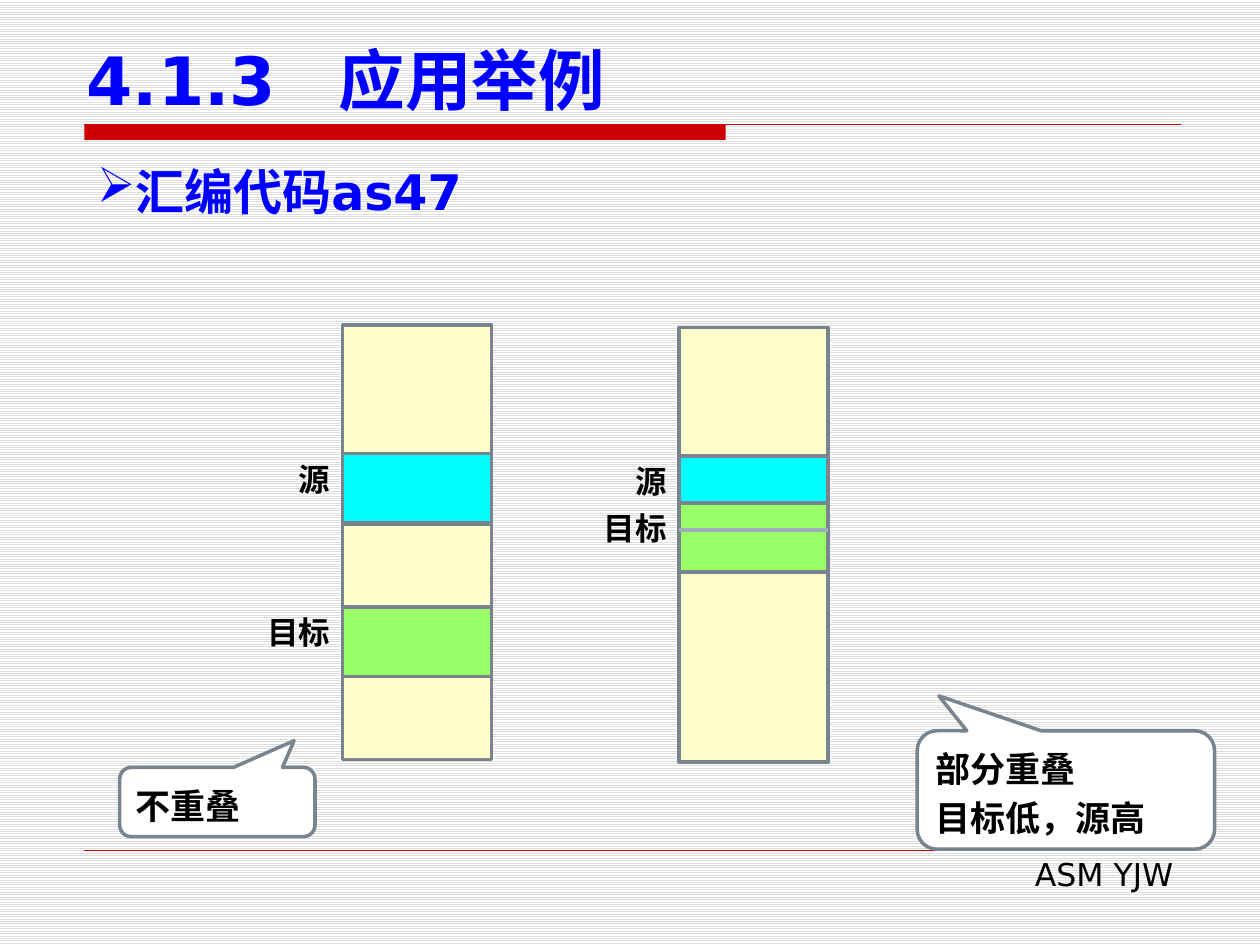
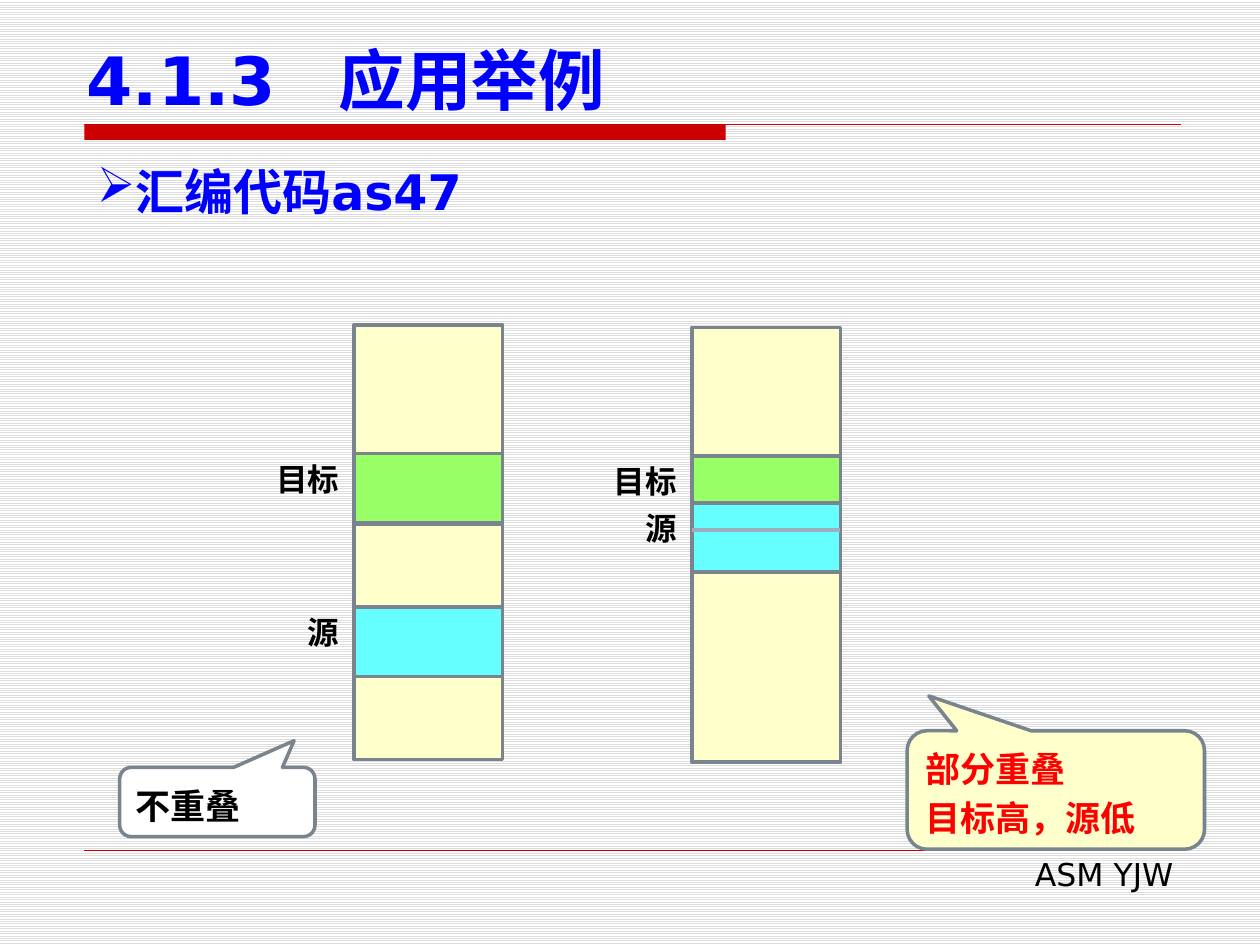
from lxml import etree
from pptx import Presentation
from pptx.dml.color import RGBColor
from pptx.enum.dml import MSO_PATTERN
from pptx.enum.shapes import MSO_CONNECTOR, MSO_SHAPE as SHAPE
from pptx.enum.text import MSO_ANCHOR as ANCHOR, PP_ALIGN as ALIGN
from pptx.oxml.ns import qn
from pptx.util import Inches, Pt

BLACK = RGBColor(0x00, 0x00, 0x00)
WHITE = RGBColor(0xFF, 0xFF, 0xFF)
STRIPE = RGBColor(0xDD, 0xDD, 0xDD)
BLUE = RGBColor(0x00, 0x00, 0xFF)
RED = RGBColor(0xFF, 0x00, 0x00)
DARK_RED = RGBColor(0xCC, 0x00, 0x00)
GREY = RGBColor(0x79, 0x84, 0x8F)
LIGHT_GREY = RGBColor(0x9F, 0xAE, 0xBD)
CREAM = RGBColor(0xFF, 0xFF, 0xCC)
GREEN = RGBColor(0x99, 0xFF, 0x66)
CYAN = RGBColor(0x00, 0xFF, 0xFF)
PALE_CYAN = RGBColor(0x66, 0xFF, 0xFF)

LATIN, CJK = "DejaVu Sans", "Noto Sans CJK SC"
BLOCK_W = 1.18


def write(sp, text, size=18, font=LATIN, color=BLACK, bold=True, align=ALIGN.LEFT,
          anchor=ANCHOR.TOP, spacing=None, bullet=None, tab=None):
    tf = sp.text_frame
    tf.word_wrap = True
    tf.vertical_anchor = anchor
    for i, line in enumerate(text.split("\n")):
        p = tf.add_paragraph() if i else tf.paragraphs[0]
        p.alignment = align
        if spacing:
            p.line_spacing = Pt(spacing)
        pPr = p._p.get_or_add_pPr()
        if bullet:
            etree.SubElement(pPr, qn("a:buChar"), char=bullet)
        if tab:
            tabs = etree.SubElement(pPr, qn("a:tabLst"))
            etree.SubElement(tabs, qn("a:tab"), pos=str(Inches(tab)), algn="l")
        r = p.add_run()
        r.text = line
        r.font.size, r.font.bold, r.font.name = Pt(size), bold, font
        r.font.color.rgb = color
        etree.SubElement(r._r.get_or_add_rPr(), qn("a:ea"), typeface=CJK)


def add_text(slide, box, text, **fmt):
    write(slide.shapes.add_textbox(*map(Inches, box)), text, **fmt)


def add_box(slide, kind, box, fill, line=GREY):
    sp = slide.shapes.add_shape(kind, *map(Inches, box))
    sp.shadow.inherit = False
    sp.fill.solid()
    sp.fill.fore_color.rgb = fill
    if line is None:
        sp.line.fill.background()
    else:
        sp.line.color.rgb = line
        sp.line.width = Pt(2)
    return sp


def add_rule(slide, x1, x2, y, color, width):
    """Draw a horizontal line."""
    cxn = slide.shapes.add_connector(MSO_CONNECTOR.STRAIGHT, *map(Inches, (x1, y, x2, y)))
    cxn.line.color.rgb = color
    cxn.line.width = Pt(width)
    etree.SubElement(cxn._element.spPr, qn("a:effectLst"))


def add_frame(prs):
    """Add a slide with the shared background, title, bands and footer."""
    slide = prs.slides.add_slide(prs.slide_layouts[6])
    fill = slide.background.fill
    fill.patterned()
    fill.pattern = MSO_PATTERN.LIGHT_HORIZONTAL
    fill.fore_color.rgb, fill.back_color.rgb = STRIPE, WHITE
    add_box(slide, SHAPE.RECTANGLE, (0.67, 0.99, 5.09, 0.12), DARK_RED, line=None)
    add_rule(slide, 0.67, 9.37, 0.99, DARK_RED, 0.75)
    add_rule(slide, 0.67, 9.33, 6.75, DARK_RED, 0.25)
    add_text(slide, (3.82, 6.74, 5.59, 0.4), "ASM YJW", bold=False, align=ALIGN.RIGHT)
    add_text(slide, (0.59, 0.28, 9.06, 0.71), "4.1.3\t应用举例", size=38, color=BLUE,
             anchor=ANCHOR.BOTTOM, tab=2.0)
    add_text(slide, (0.67, 1.23, 8.66, 0.57), "汇编代码as47", size=28, color=BLUE,
             align=ALIGN.JUSTIFY, bullet="➢")
    return slide


def add_memory(slide, x, y, blocks, gap):
    """Draw (offset, height, fill, label) blocks, each label left of its block."""
    for offset, height, fill, label in blocks:
        top = y + offset
        add_box(slide, SHAPE.RECTANGLE, (x, top, BLOCK_W, height), fill)
        if label:
            w = 0.16 + 0.31 * len(label)
            add_text(slide, (x - gap - w, top, w, 0.4), label, align=ALIGN.RIGHT)


def add_separate_memory(slide, x, upper, lower, gap):
    add_memory(slide, x, 2.58, [
        (1.02, 0.55, *upper), (0, 1.02, CREAM, ""), (2.24, 0.55, *lower),
        (1.58, 0.66, CREAM, ""), (2.79, 0.66, CREAM, "")], gap)


def add_overlapping_memory(slide, x, upper, lower, gap):
    add_memory(slide, x, 2.6, [
        (1.02, 0.55, *upper), (0, 1.02, CREAM, ""), (1.94, 1.51, CREAM, ""),
        (1.39, 0.55, *lower)], gap)
    add_rule(slide, x, x + BLOCK_W, 4.21, LIGHT_GREY, 2.25)


def add_callout(slide, box, tip, text, fill=WHITE, color=BLACK):
    sp = add_box(slide, SHAPE.ROUNDED_RECTANGULAR_CALLOUT, box, fill)
    for i, value in enumerate((*tip, 0.167)):
        sp.adjustments[i] = value
    write(sp, text, size=20, font=CJK, color=color, anchor=ANCHOR.MIDDLE, spacing=28)


def add_copy_slide(prs, left_x, right_x, upper, lower, gap, note_x, note, **note_colors):
    slide = add_frame(prs)
    add_separate_memory(slide, left_x, upper, lower, gap)
    add_overlapping_memory(slide, right_x, upper, lower, gap)
    add_callout(slide, (0.95, 6.09, 1.55, 0.55), (0.393, -0.885), "不重叠")
    add_callout(slide, (note_x, 5.8, 2.36, 0.94), (-0.427, -0.794), note, **note_colors)


def main():
    prs = Presentation()
    prs.slide_width, prs.slide_height = Inches(10), Inches(7.5)
    add_copy_slide(prs, 2.72, 5.39, (CYAN, "源"), (GREEN, "目标"), 0,
                   7.28, "部分重叠\n目标低，源高")
    add_copy_slide(prs, 2.81, 5.49, (GREEN, "目标"), (PALE_CYAN, "源"), 0.02,
                   7.2, "部分重叠\n目标高，源低", fill=CREAM, color=RED)
    prs.save("out.pptx")


if __name__ == "__main__":
    main()
